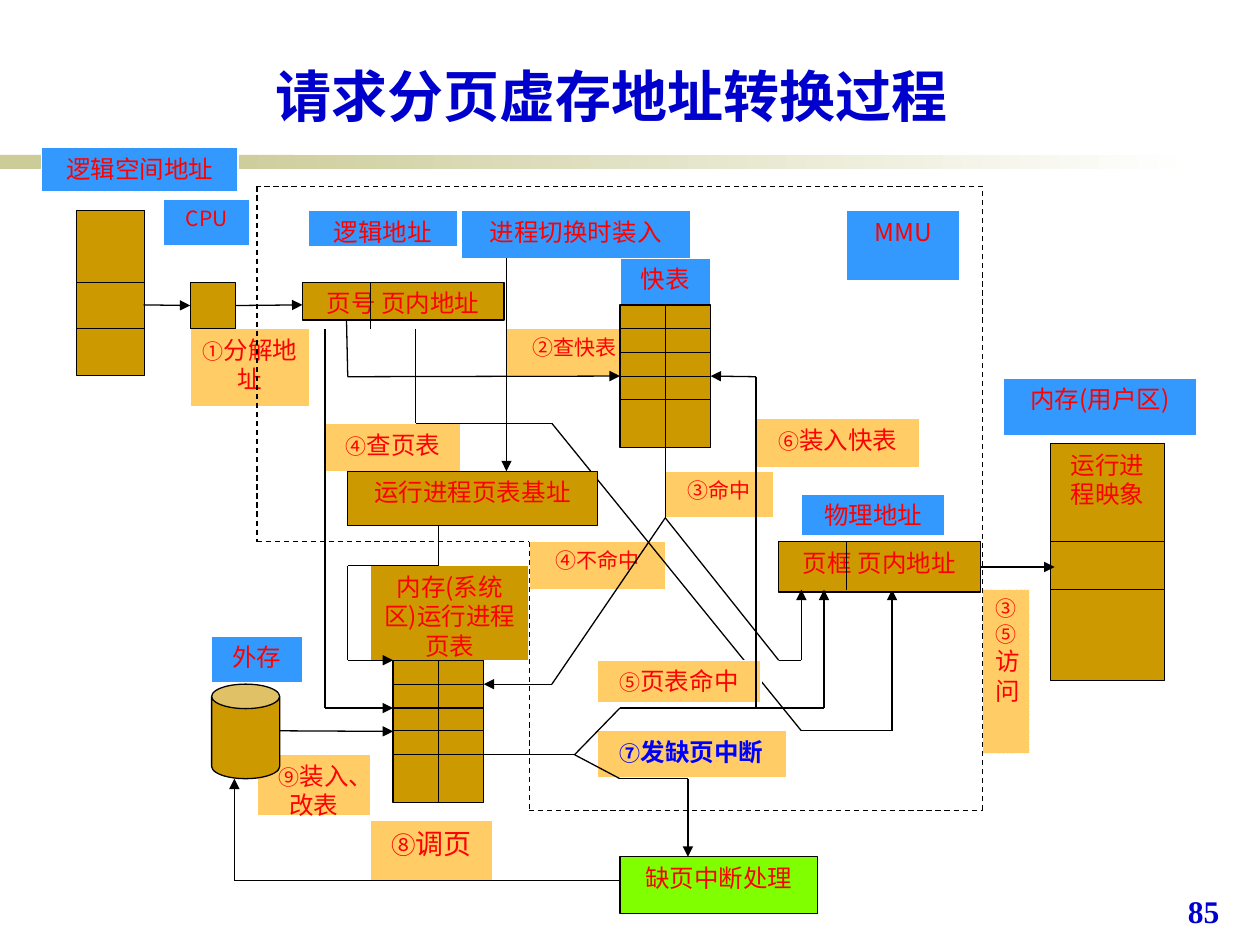
from itertools import pairwise

from lxml.etree import SubElement
from pptx import Presentation
from pptx.dml.color import RGBColor
from pptx.enum.dml import MSO_LINE_DASH_STYLE as Dash
from pptx.enum.shapes import MSO_CONNECTOR as Connector, MSO_SHAPE as Shape
from pptx.enum.text import MSO_ANCHOR as Anchor, PP_ALIGN as Align
from pptx.oxml.ns import qn
from pptx.util import Inches, Pt

THEME = {
    "font": "Noto Sans CJK JP", "number_font": "Times New Roman",
    "title": "0000CC", "text": "FF0000", "fault": "0000FF",
    "name": "3399FF", "step": "FFCC66", "store": "CC9900", "handler": "80FF00",
    "band": "CCCC99", "white": "FFFFFF", "black": "000000",
    "title_size": 32, "number_size": 18, "big": 16, "body": 14, "small": 12,
    "line": 0.75,
}
TITLE = "请求分页虚存地址转换过程"
PAGE_NUMBER = "85"
CIRCLED = "①②③④⑤⑥⑦⑧⑨"

# text, (left, top, width, height), type size
NAMES = [
    ("逻辑空间地址", (0.33, 1.17, 1.56, 0.35), "body"),
    ("内存(用户区)", (7.96, 3, 1.54, 0.46), "body"),
    ("CPU", (1.3, 1.58, 0.68, 0.37), "small"),
    ("逻辑地址", (2.45, 1.67, 1.18, 0.29), "body"),
    ("快表", (4.92, 2.05, 0.72, 0.37), "body"),
    ("外存", (1.68, 5.05, 0.72, 0.37), "body"),
    ("MMU", (6.72, 1.67, 0.9, 0.56), "body"),
    ("进程切换时装入", (3.66, 1.67, 1.82, 0.38), "body"),
    ("物理地址", (6.36, 3.92, 1.14, 0.33), "body"),
]
STEPS = [
    ("①分解地址", (1.51, 2.61, 0.95, 0.62), "body"),
    ("③⑤\n访\n问", (7.8, 4.68, 0.37, 1.3), "body"),
    ("②查快表", (4.02, 2.61, 1.08, 0.37), "small"),
    ("③命中", (5.28, 3.74, 0.86, 0.37), "small"),
    ("④不命中", (4.2, 4.3, 1.08, 0.38), "small"),
    ("⑦发缺页中断", (4.74, 5.8, 1.5, 0.37), "body"),
    ("⑧调页", (2.94, 6.51, 0.97, 0.48), "big"),
    ("⑨装入、改表", (2.04, 5.99, 0.9, 0.48), "body"),
    ("④查页表", (2.58, 3.36, 1.08, 0.38), "body"),
    ("⑥装入快表", (6, 3.32, 1.3, 0.39), "body"),
]
PAGE_HIT = ("⑤页表命中", (4.74, 5.24, 1.3, 0.34), "body")
SYSTEM_MEMORY = ("内存(系统区)运行进程页表", (2.94, 4.49, 1.26, 0.75), "body")

# text, (left, top, width, height), row divider heights, column divider
STORES = [
    ("", (4.92, 2.42, 0.72, 1.13), (2.61, 2.8, 2.99, 3.17), (5.28, 3.55)),
    ("", (3.12, 5.24, 0.72, 1.13), (5.43, 5.62, 5.8, 5.99), (3.48, 6.37)),
    ("运行进程页表基址", (2.76, 3.74, 1.98, 0.43), (), None),
    ("运行进\n程映象", (8.34, 3.52, 0.9, 1.88), (4.3, 4.68), None),
    ("页框 页内地址", (6.18, 4.3, 1.6, 0.4), (), (6.72, 4.68)),
    ("", (1.51, 2.24, 0.36, 0.37), (), None),
    ("页号 页内地址", (2.4, 2.24, 1.6, 0.3), (), (2.94, 2.61)),
    ("", (0.61, 1.67, 0.54, 1.31), (2.24, 2.61), None),
]
HANDLER = ("缺页中断处理", (4.92, 6.8, 1.57, 0.45), "body")
DISK = (1.68, 5.43, 0.54, 0.75)

MMU_BORDER = [(2.04, 1.48), (2.04, 4.3), (4.2, 4.3), (4.2, 6.43),
              (7.8, 6.43), (7.8, 1.48), (2.04, 1.48)]
OFFSET_ROUTE = [(3.3, 2.61), (3.3, 3.36), (4.38, 3.36), (6.36, 5.8),
                (7.08, 5.8), (7.08, 4.68)]
ROUTES = [
    [(1.14, 2.42), (1.51, 2.42)],
    [(1.86, 2.42), (2.4, 2.42)],
    [(2.75, 2.54), (2.76, 2.99), (4.92, 2.99)],
    [(4.02, 2.05), (4.02, 3.74)],
    [(2.58, 2.61), (2.58, 5.62), (3.12, 5.62)],
    [(2.22, 5.8), (3.12, 5.8)],
    [(3.48, 4.17), (3.48, 4.49), (2.76, 4.49), (2.76, 5.24), (3.12, 5.24)],
    [(5.28, 3.55), (5.28, 4.11), (4.38, 5.43), (3.84, 5.43)],
    [(5.28, 4.11), (6.18, 5.24), (6.36, 5.24), (6.36, 4.68)],
    [(3.84, 5.99), (4.56, 5.99), (4.92, 5.62), (6.54, 5.62), (6.54, 4.68)],
    [(4.56, 5.99), (4.92, 6.18), (5.46, 6.18), (5.46, 6.8)],
    [(6, 5.62), (6, 2.99), (5.64, 2.99)],
    [(4.92, 6.99), (1.86, 6.99), (1.86, 6.18)],
    [(7.78, 4.49), (8.37, 4.5)],
]

deck = Presentation()
deck.slide_width, deck.slide_height = Inches(10), Inches(7.5)
page = deck.slides.add_slide(deck.slide_layouts[5])
side_middles = []  # (x, y, box, connection site)


def color(name):
    return RGBColor.from_string(THEME[name])


def style_span(span, size, ink, font="font", bold=None):
    span.font.size, span.font.bold = Pt(THEME[size]), bold
    span.font.color.rgb = color(ink)
    span.font.name = THEME[font]
    SubElement(span.font._element, qn("a:ea"), typeface=THEME[font])


def write(box, text, size, ink="text", bold=None):
    """Fill a box with centred lines; leading circled numbers are set smaller."""
    frame = box.text_frame
    frame.word_wrap, frame.vertical_anchor = True, Anchor.TOP
    number_size = "body" if size == "big" else "small"
    for index, line in enumerate(text.split("\n")):
        para = frame.add_paragraph() if index else frame.paragraphs[0]
        para.alignment = Align.CENTER
        words = line.lstrip(CIRCLED)
        number = line[:len(line) - len(words)]
        for part, part_size in ((number, number_size), (words, size)):
            if part:
                span = para.add_run()
                span.text = part
                style_span(span, part_size, ink, bold=bold)


def add_box(at, fill, edge="black", shape=Shape.RECTANGLE):
    box = page.shapes.add_shape(shape, *map(Inches, at))
    box.shadow.inherit = False
    box.fill.solid()
    box.fill.fore_color.rgb = color(fill)
    box.line.color.rgb, box.line.width = color(edge), Pt(THEME["line"])
    return box


def add_label(label, fill, edge="white", **look):
    text, at, size = label
    box = add_box(at, fill, edge)
    write(box, text, size, **look)
    return box


def note_sides(box, at):
    left, top, width, height = at
    middles = [(left + width / 2, top), (left, top + height / 2),
               (left + width / 2, top + height), (left + width, top + height / 2)]
    side_middles.extend((x, y, box, site) for site, (x, y) in enumerate(middles))


def join(point, connect):
    for x, y, box, site in side_middles:
        if max(abs(x - point[0]), abs(y - point[1])) < 0.015:
            connect(box, site)
            return


def add_route(points, arrow=True, dash=None, joined=True):
    for start, end in pairwise(points):
        line = page.shapes.add_connector(Connector.STRAIGHT, *map(Inches, start + end))
        line.line.color.rgb, line.line.width = color("black"), Pt(THEME["line"])
        if dash:
            line.line.dash_style = dash
        if arrow and end == points[-1]:
            SubElement(line.line._get_or_add_ln(), qn("a:tailEnd"), type="triangle")
        SubElement(line._element.spPr, qn("a:effectLst"))
        if joined:
            join(start, line.begin_connect)
            join(end, line.end_connect)


def add_store(text, at, rows, column):
    box = add_box(at, "store")
    if text:
        write(box, text, "body")
    note_sides(box, at)
    left, top, width, _ = at
    for y in rows:
        add_route([(left, y), (left + width, y)], arrow=False, joined=False)
    if column:
        x, bottom = column
        add_route([(x, top), (x, bottom)], arrow=False, joined=False)


solid_band = add_box((0, 1.23, 2.33, 0.11), "band")
fading_band = add_box((1.58, 1.23, 7.92, 0.11), "band")
fading_band.fill.gradient()
fading_band.fill.gradient_angle = 0
for stop, name in zip(fading_band.fill.gradient_stops, ("band", "white")):
    stop.color.rgb = color(name)
for band in (solid_band, fading_band):
    band.line.fill.background()

for label in NAMES:
    add_label(label, "name")
for label in STEPS:
    fault = label[0].startswith("⑦")
    box = add_label(label, "step", ink="fault" if fault else "text", bold=fault)
    if "\n" in label[0]:
        box.line.dash_style = Dash.ROUND_DOT
add_label(SYSTEM_MEMORY, "store")
add_route(OFFSET_ROUTE)
add_label(PAGE_HIT, "step")
add_route(MMU_BORDER, arrow=False, dash=Dash.DASH)
note_sides(add_label(HANDLER, "handler", "black"), HANDLER[1])
disk = add_box(DISK, "store", shape=Shape.CAN)
disk.adjustments[0] = 0.36
for store in STORES:
    add_store(*store)
for route in ROUTES:
    add_route(route)

title = page.shapes.title
title.left, title.top, title.width, title.height = map(Inches, (0.83, 0.44, 8.05, 0.63))
title.text_frame.text = TITLE
title.text_frame.vertical_anchor = Anchor.BOTTOM
title.text_frame.paragraphs[0].alignment = Align.CENTER
style_span(title.text_frame.paragraphs[0].runs[0], "title_size", "title", bold=True)

number = page.shapes.add_textbox(*map(Inches, (9.33, 7.03, 0.64, 0.5)))
number.text_frame.word_wrap = True
number.text_frame.text = PAGE_NUMBER
style_span(number.text_frame.paragraphs[0].runs[0], "number_size", "title",
           "number_font", True)

deck.save("out.pptx")
